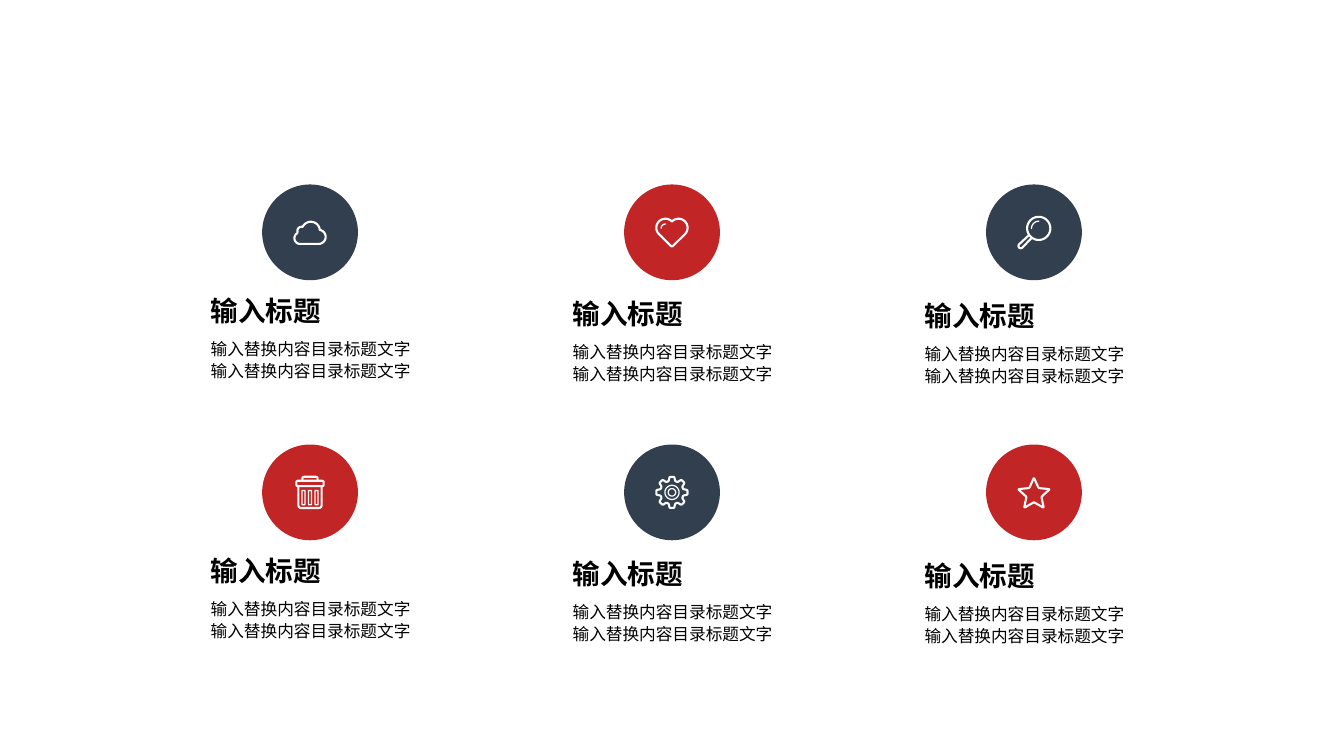
from dataclasses import dataclass
from math import cos, dist, radians, sin

from lxml import etree
from pptx import Presentation
from pptx.dml.color import RGBColor
from pptx.enum.shapes import MSO_SHAPE
from pptx.enum.text import MSO_ANCHOR
from pptx.oxml.ns import qn
from pptx.shapes.group import GroupShape
from pptx.slide import Slide
from pptx.util import Inches, Pt

OVAL = MSO_SHAPE.OVAL
TOP, BOTTOM = MSO_ANCHOR.TOP, MSO_ANCHOR.BOTTOM

Point = tuple[float, float]


@dataclass(frozen=True)
class Theme:
    font: str = "Noto Sans CJK SC"
    text: str = "000000"
    navy: str = "323F4F"
    red: str = "C12525"
    white: str = "FFFFFF"
    off_white: str = "F8F8F8"
    title_size: float = 19.7
    body_size: float = 11.9
    bold_pen: float = 1.5
    fine_pen: float = 0.9


THEME = Theme()


@dataclass(frozen=True)
class Contour:
    points: list[Point]
    closed: bool = True


@dataclass(frozen=True)
class Stroke:
    """Contours drawn with one pen, in hundredths of an inch from the disc centre."""
    contours: list[Contour]
    pen: float = THEME.bold_pen


@dataclass(frozen=True)
class Feature:
    disc_color: str
    icon_color: str
    icon: list[Stroke]


@dataclass(frozen=True)
class Column:
    disc_left: float
    text_left: float
    text_drop: float


TITLE = "输入标题"
BODY = "输入替换内容目录标题文字" * 2
DISC = 0.95
DISC_TOP = 1.83
ROW_STEP = 2.58
TITLE_TOP = 2.92
TITLE_HEIGHT = 0.32
BODY_HEIGHT = 0.61
TEXT_WIDTH = 2.47
TEXT_INDENT = 0.42
COLUMNS = [Column(2.6, 1.67, 0), Column(6.19, 5.26, 0.03), Column(9.78, 8.75, 0.05)]


def polar(x: float, y: float, radius: float, degrees: float) -> Point:
    angle = radians(degrees)
    return x + radius * cos(angle), y + radius * sin(angle)


def arc(x: float, y: float, radius: float, start: float, end: float) -> list[Point]:
    """Points on an arc; angles run clockwise from the right."""
    steps = max(8, round(abs(end - start) / 8))
    return [polar(x, y, radius, start + (end - start) * i / steps) for i in range(steps + 1)]


def ring(x: float, y: float, radius: float) -> Contour:
    return Contour(arc(x, y, radius, 0, 360))


def toward(start: Point, end: Point, share: float) -> Point:
    return start[0] + (end[0] - start[0]) * share, start[1] + (end[1] - start[1]) * share


def rounded(corners: list[Point], cut: float, closed: bool = True) -> Contour:
    """Polygon or open line with each corner replaced by a short curve."""
    points = []
    for i, corner in enumerate(corners):
        if not closed and i in (0, len(corners) - 1):
            points.append(corner)
            continue
        before, after = corners[i - 1], corners[(i + 1) % len(corners)]
        first = toward(corner, before, cut / dist(corner, before))
        last = toward(corner, after, cut / dist(corner, after))
        for share in (0, 0.25, 0.5, 0.75, 1):
            points.append(toward(toward(first, corner, share), toward(corner, last, share), share))
    return Contour(points, closed)


def box_outline(left: float, top: float, right: float, bottom: float, cut: float) -> Contour:
    return rounded([(left, top), (right, top), (right, bottom), (left, bottom)], cut)


def cloud() -> list[Stroke]:
    lobes = [(-9.8, 5.8, 5.7, 90, 240), (-8.5, -1.5, 4, 165, 285),
             (0.8, -1.5, 9, 208, 345), (8.5, 4.5, 7, 280, 450)]
    return [Stroke([Contour([point for lobe in lobes for point in arc(*lobe)])])]


def heart() -> list[Stroke]:
    outline = (arc(-6.5, -4.5, 9, 135, 315) + arc(6.5, -4.5, 9, 225, 405)
               + arc(0, 12.3, 1.6, 45, 135))
    gleam = Contour(arc(-6.5, -4, 4.2, 180, 270), False)
    return [Stroke([Contour(outline)]), Stroke([gleam], THEME.fine_pen)]


def magnifier() -> list[Stroke]:
    handle = [(-5.3, 3.2), *arc(-13, 13.5, 2.3, 225, 45), (-2.3, 5.6)]
    gleam = Contour(arc(4.8, -3.9, 7.2, 180, 270), False)
    return [Stroke([ring(4.8, -3.9, 11.5), Contour(handle, False)]),
            Stroke([gleam], THEME.fine_pen)]


def bin_icon() -> list[Stroke]:
    lid = box_outline(-13.5, -11.5, 13.5, -6.2, 1.5)
    grip = rounded([(-7.5, -11.5), (-7.5, -15.5), (7.5, -15.5), (7.5, -11.5)], 1.8, False)
    body = rounded([(-11.5, -6.2), (-11.5, 15.5), (11.5, 15.5), (11.5, -6.2)], 3, False)
    slots = [Stroke([box_outline(x - 1.5, -2, x + 1.5, 12.2, 0.5)], THEME.fine_pen)
             for x in (-6.5, 0, 6.5)]
    return [Stroke([lid, grip, body]), *slots]


def gear() -> list[Stroke]:
    tooth = [(11.6, -16), (15.6, -8.5), (15.6, 8.5), (11.6, 16)]
    corners = [polar(0, 0, radius, angle + turn)
               for turn in range(0, 360, 45) for radius, angle in tooth]
    rings = [Stroke([ring(0, 0, radius)], THEME.fine_pen) for radius in (7, 3.7)]
    return [Stroke([rounded(corners, 1.1)]), *rings]


def star() -> list[Stroke]:
    corners = [polar(0, 2, 7.8 if i % 2 else 16.5, 36 * i - 90) for i in range(10)]
    return [Stroke([rounded(corners, 1.2)])]


FEATURES = [
    Feature(THEME.navy, THEME.white, cloud()),
    Feature(THEME.red, THEME.white, heart()),
    Feature(THEME.navy, THEME.white, magnifier()),
    Feature(THEME.red, THEME.off_white, bin_icon()),
    Feature(THEME.navy, THEME.off_white, gear()),
    Feature(THEME.red, THEME.off_white, star()),
]


def draw_stroke(group: GroupShape, stroke: Stroke, center: Point, color: str) -> None:
    builder = None
    for contour in stroke.contours:
        start, *rest = [(Inches(center[0] + x / 100), Inches(center[1] + y / 100))
                        for x, y in contour.points]
        if builder is None:
            builder = group.shapes.build_freeform(*start)
        else:
            builder.move_to(*start)
        builder.add_line_segments(rest, close=contour.closed)
    shape = builder.convert_to_shape()
    shape.shadow.inherit = False
    shape.fill.background()
    shape.line.color.rgb = RGBColor.from_string(color)
    shape.line.width = Pt(stroke.pen)
    outline = shape.element.spPr.find(qn("a:ln"))
    outline.set("cap", "rnd")
    etree.SubElement(outline, qn("a:round"))


def draw_badge(page: Slide, feature: Feature, left: float, top: float) -> None:
    group = page.shapes.add_group_shape()
    disc = group.shapes.add_shape(OVAL, Inches(left), Inches(top), Inches(DISC), Inches(DISC))
    disc.shadow.inherit = False
    disc.fill.solid()
    disc.fill.fore_color.rgb = RGBColor.from_string(feature.disc_color)
    disc.line.fill.background()
    for stroke in feature.icon:
        draw_stroke(group, stroke, (left + DISC / 2, top + DISC / 2), feature.icon_color)


def draw_text(group: GroupShape, text: str, left: float, top: float, height: float,
              frame_format: dict, font_format: dict, spacing: float | None = None) -> None:
    box = group.shapes.add_textbox(Inches(left), Inches(top), Inches(TEXT_WIDTH), Inches(height))
    frame = box.text_frame
    margins = {"margin_left": Inches(TEXT_INDENT), "margin_top": 0,
               "margin_right": 0, "margin_bottom": 0}
    for name, value in (margins | frame_format).items():
        setattr(frame, name, value)
    para = frame.paragraphs[0]
    para.line_spacing = spacing
    span = para.add_run()
    span.text = text
    for name, value in ({"name": THEME.font} | font_format).items():
        setattr(span.font, name, value)
    span.font.color.rgb = RGBColor.from_string(THEME.text)
    etree.SubElement(span.font._element, qn("a:ea"), typeface=THEME.font)


def draw_label(page: Slide, left: float, top: float) -> None:
    group = page.shapes.add_group_shape()
    draw_text(group, TITLE, left, top, TITLE_HEIGHT,
              {"word_wrap": False, "vertical_anchor": BOTTOM},
              {"size": Pt(THEME.title_size), "bold": True})
    draw_text(group, BODY, left, top + TITLE_HEIGHT, BODY_HEIGHT,
              {"word_wrap": True, "vertical_anchor": TOP, "margin_top": Inches(0.1)},
              {"size": Pt(THEME.body_size)}, 1.1)


def main() -> None:
    deck = Presentation()
    deck.slide_width, deck.slide_height = Inches(13.33), Inches(7.5)
    page = deck.slides.add_slide(deck.slide_layouts[6])
    for i, feature in enumerate(FEATURES):
        row, column = i // len(COLUMNS), COLUMNS[i % len(COLUMNS)]
        drop = row * ROW_STEP
        draw_badge(page, feature, column.disc_left, DISC_TOP + drop)
        draw_label(page, column.text_left, TITLE_TOP + column.text_drop + drop)
    deck.save("out.pptx")


if __name__ == "__main__":
    main()
